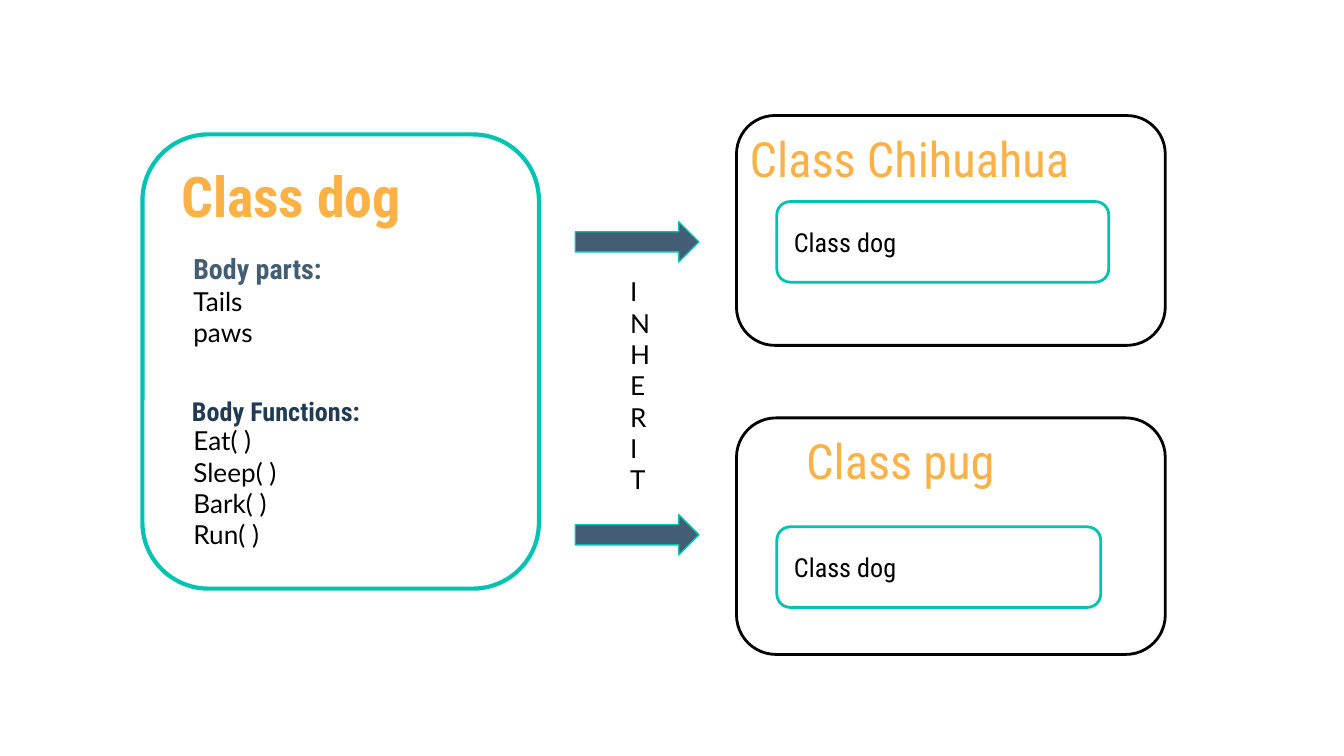
from dataclasses import dataclass

import pptx
import pptx.dml.color
import pptx.enum.shapes
import pptx.enum.text
import pptx.util

COLORS = {
    "white": "FFFFFF",
    "black": "000000",
    "teal": "00C3B1",
    "orange": "FBB146",
    "slate": "435D74",
    "navy": "213B55",
}
HEADING_FONT = "Roboto Condensed"
BODY_FONT = "Lato"
CELL = 0.1  # inches per grid column and row
PRESETS = pptx.enum.shapes.MSO_SHAPE
ANCHORS = pptx.enum.text.MSO_ANCHOR


@dataclass(frozen=True)
class Area:
    """A place on the grid, in columns and rows."""
    col: float
    row: float
    cols: float
    rows: float

    def lengths(self) -> list:
        return [pptx.util.Inches(n * CELL)
                for n in (self.col, self.row, self.cols, self.rows)]


@dataclass(frozen=True)
class Label:
    area: Area
    lines: tuple[str, ...]
    size: float
    color: str = "black"
    font: str = HEADING_FONT
    bold: bool = False


@dataclass(frozen=True)
class Subclass:
    panel: Area
    title: str
    title_area: Area
    parent_area: Area


def rgb(color: str) -> pptx.dml.color.RGBColor:
    return pptx.dml.color.RGBColor.from_string(COLORS[color])


def write(shape, *lines: str, size: float, color: str = "black",
          font: str = HEADING_FONT, bold: bool = False, anchor=ANCHORS.TOP) -> None:
    frame = shape.text_frame
    frame.word_wrap = True
    frame.vertical_anchor = anchor
    frame.margin_left = frame.margin_right = pptx.util.Inches(0.1)
    frame.margin_top = frame.margin_bottom = pptx.util.Inches(0.1)
    for index, line in enumerate(lines):
        paragraph = frame.add_paragraph() if index else frame.paragraphs[0]
        paragraph.alignment = pptx.enum.text.PP_ALIGN.LEFT
        run = paragraph.add_run()
        run.text = line
        run.font.name = font
        run.font.size = pptx.util.Pt(size)
        run.font.bold = bold
        run.font.color.rgb = rgb(color)


def add_outlined(slide, preset, area: Area, line: str, weight: float,
                 fill: str = "white"):
    shape = slide.shapes.add_shape(preset, *area.lengths())
    shape.shadow.inherit = False
    shape.fill.solid()
    shape.fill.fore_color.rgb = rgb(fill)
    shape.line.color.rgb = rgb(line)
    shape.line.width = pptx.util.Pt(weight)
    return shape


def add_label(slide, label: Label) -> None:
    box = slide.shapes.add_textbox(*label.area.lengths())
    write(box, *label.lines, size=label.size, color=label.color,
          font=label.font, bold=label.bold)


def add_subclass(slide, subclass: Subclass) -> None:
    rounded = PRESETS.FLOWCHART_ALTERNATE_PROCESS
    add_outlined(slide, rounded, subclass.panel, "black", 1.5)
    add_label(slide, Label(subclass.title_area, (subclass.title,), 26, "orange"))
    parent = add_outlined(slide, rounded, subclass.parent_area, "teal", 1.5)
    write(parent, "Class dog", size=14, anchor=ANCHORS.MIDDLE)


BASE_CLASS = Area(10.6, 10, 29.5, 33.8)
LABELS = (
    Label(Area(12.5, 11, 22.3, 7.8), ("Class dog",), 30, "orange", bold=True),
    Label(Area(13.4, 17.7, 22.3, 4.5), ("Body parts:",), 15, "slate", bold=True),
    Label(Area(13.4, 20.2, 15.8, 6.7), ("Tails", "paws"), 14, font=BODY_FONT),
    Label(Area(13.3, 28.4, 20.7, 4.4), ("Body Functions:",), 14, "navy", bold=True),
    Label(Area(13.4, 30.6, 15.8, 11.4),
          ("Eat( )", "Sleep( )", "Bark( )", "Run( )"), 14, font=BODY_FONT),
    # The narrow column wraps "ER" to one letter a line.
    Label(Area(45.9, 19.5, 3.6, 18.5), ("I", "N", "H", "ER", "I", "T"), 14,
          font=BODY_FONT),
)
SUBCLASSES = (
    Subclass(Area(54.8, 8.6, 31.9, 17.1), "Class Chihuahua",
             Area(54.8, 8.6, 31.9, 6), Area(57.8, 15, 24.7, 6)),
    Subclass(Area(54.8, 31.1, 31.9, 17.6), "Class pug",
             Area(59, 31.1, 19.2, 6), Area(57.8, 39.2, 24.1, 6)),
)
ARROW_ROWS = (16.5, 38.3)


def main() -> None:
    deck = pptx.Presentation()
    deck.slide_width = pptx.util.Inches(10)
    deck.slide_height = deck.slide_width * 9 // 16
    slide = deck.slides.add_slide(deck.slide_layouts[6])

    add_outlined(slide, PRESETS.FLOWCHART_ALTERNATE_PROCESS, BASE_CLASS, "teal", 2.25)
    for label in LABELS:
        add_label(slide, label)
    for subclass in SUBCLASSES:
        add_subclass(slide, subclass)
    for row in ARROW_ROWS:
        add_outlined(slide, PRESETS.RIGHT_ARROW, Area(42.8, row, 9.2, 3),
                     "teal", 0.75, fill="slate")

    deck.save("out.pptx")


if __name__ == "__main__":
    main()
